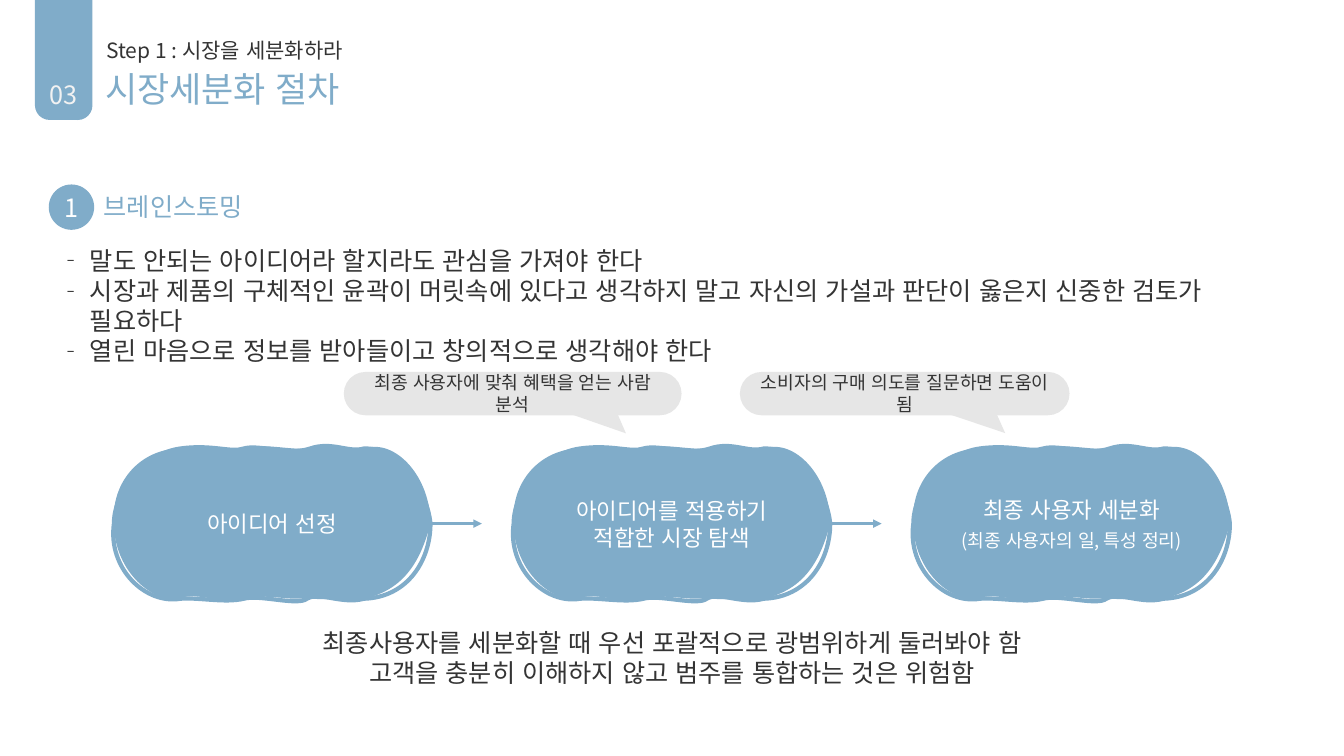
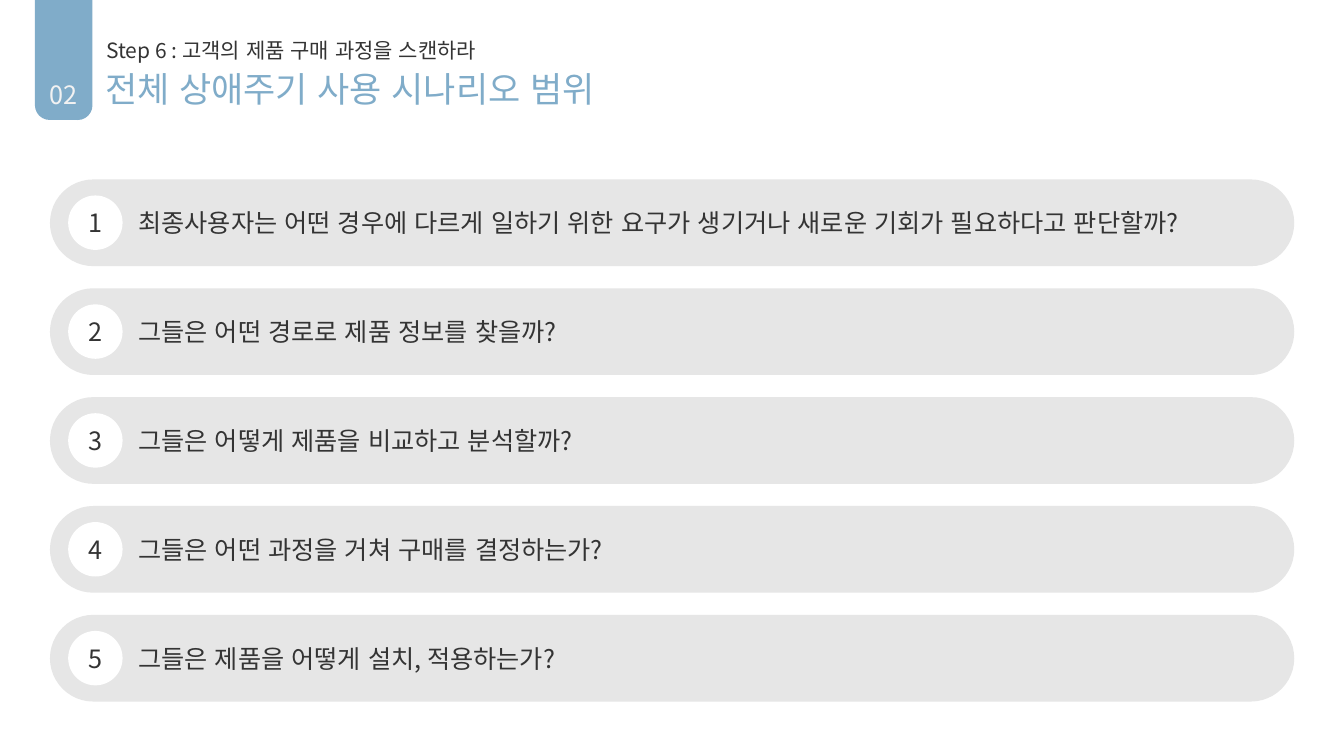
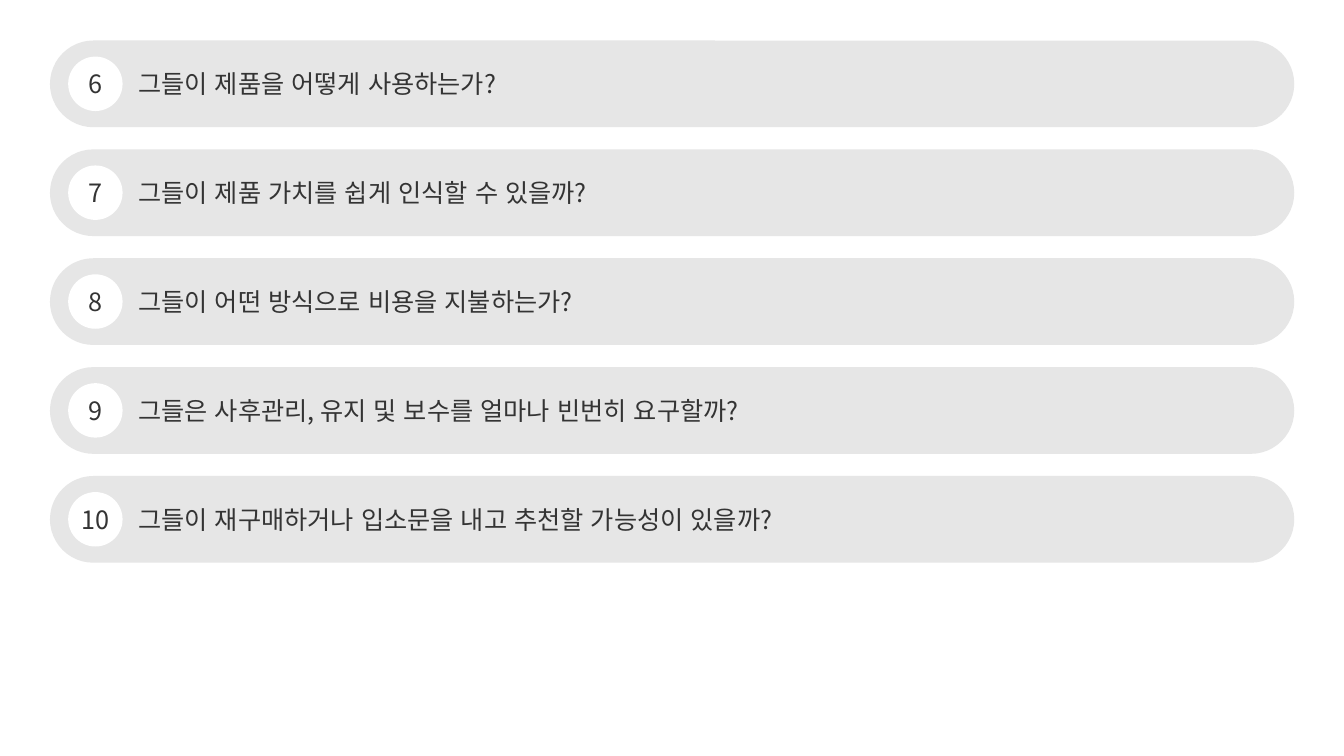
from lxml import etree
from pptx import Presentation
from pptx.dml.color import RGBColor
from pptx.enum.lang import MSO_LANGUAGE_ID as Lang
from pptx.enum.shapes import MSO_CONNECTOR, MSO_SHAPE as Shape
from pptx.enum.text import MSO_ANCHOR as Anchor, PP_ALIGN as Align
from pptx.oxml.ns import qn
from pptx.util import Inches, Pt

# Shared style
BLUE = RGBColor(0x80, 0xAC, 0xC9)
GRAY = RGBColor(0xE6, 0xE6, 0xE6)
DARK = RGBColor(0x34, 0x34, 0x34)
PALE = RGBColor(0xF2, 0xF2, 0xF2)
WHITE = RGBColor(0xFF, 0xFF, 0xFF)
FONT = "Noto Sans CJK KR"
SLIDE_W, SLIDE_H = Inches(13.33), Inches(7.5)

# Question rows, in percent of the slide
ROW_X, ROW_W, ROW_H, ROW_PITCH = 3.72, 92.58, 11.47, 14.4

# Flow steps, in percent of the slide
STEP_X, STEP_Y, STEP_W, STEP_H, STEP_PITCH = 8.48, 59.33, 23.55, 19.87, 29.74
ARROW_W = 3.83

# Hand-drawn blob in thousandths of its box: each row is two handles and an end point
BLOB_UNITS = 1000
BLOB_START = (0, 500)
BLOB_OUTLINE = [
    ((0, 280), (100, 30), (210, 0)),
    ((310, -30), (370, 30), (410, 0)),
    ((460, -30), (550, 50), (620, 0)),
    ((690, -50), (740, 30), (790, 0)),
    ((900, -10), (990, 280), (1000, 500)),
    ((1000, 740), (930, 990), (790, 1000)),
    ((720, 1040), (650, 950), (610, 1000)),
    ((580, 1050), (460, 970), (410, 1000)),
    ((350, 1030), (270, 990), (210, 1000)),
    ((100, 1040), (-20, 800), BLOB_START),
]
BLOB_BODY = [
    ((-10, 210), (90, 0), (210, 0)),
    ((260, -50), (370, 40), (410, 0)),
    ((460, -40), (560, 10), (600, 0)),
    ((650, -10), (730, 0), (790, 0)),
    ((890, -70), (1000, 190), (1000, 500)),
    ((970, 740), (920, 940), (790, 1000)),
    ((720, 1010), (650, 1000), (580, 1000)),
    ((520, 1000), (490, 970), (400, 1000)),
    ((320, 1030), (250, 950), (210, 1000)),
    ((110, 1030), (0, 790), BLOB_START),
]


def px(share):
    return int(SLIDE_W * share / 100)


def py(share):
    return int(SLIDE_H * share / 100)


def box(x, y, w, h):
    return px(x), py(y), px(w), py(h)


def add_xml(parent, tag, **attributes):
    return etree.SubElement(parent, qn(tag), attributes)


def paint(sp, fill, line=None, width=0):
    sp.shadow.inherit = False
    sp.fill.solid()
    sp.fill.fore_color.rgb = fill
    if line is None:
        sp.line.fill.background()
    else:
        sp.line.color.rgb = line
        sp.line.width = Pt(width)
    return sp


def style_run(r, size, color):
    r.font.size = Pt(size)
    r.font.color.rgb = color
    r.font.name = FONT
    r.font.language_id = Lang.KOREAN
    rPr = r.font._element
    rPr.set("kern", "0")
    add_xml(rPr, "a:ea", typeface=FONT)


def add_dash(p):
    pPr = p._p.get_or_add_pPr()
    pPr.set("marL", str(Inches(0.31)))
    pPr.set("indent", str(-Inches(0.31)))
    add_xml(pPr, "a:buFont", typeface=FONT)
    add_xml(pPr, "a:buChar", char="‐")


def write(sp, text, size, color, align=Align.LEFT, anchor=Anchor.MIDDLE,
          left=0.1, right=0.1, dashes=False):
    """Fill a shape with text, one paragraph a line."""
    tf = sp.text_frame
    tf.text = text
    tf.word_wrap = True
    tf.vertical_anchor = anchor
    tf.margin_left, tf.margin_right = Inches(left), Inches(right)
    for p in tf.paragraphs:
        p.alignment = align
        if dashes:
            add_dash(p)
        for r in p.runs:
            style_run(r, size, color)
    return tf


def add_text(s, place, text, size, color, anchor=Anchor.TOP, **options):
    sp = s.shapes.add_textbox(*box(*place))
    write(sp, text, size, color, anchor=anchor, **options)


def add_block(s, kind, place, fill, *adjustments):
    sp = paint(s.shapes.add_shape(kind, *box(*place)), fill)
    for i, value in enumerate(adjustments):
        sp.adjustments[i] = value
    return sp


def add_disc(s, place, text, fill, color):
    sp = add_block(s, Shape.OVAL, place, fill)
    write(sp, text, 18, color, Align.CENTER, left=0, right=0)


def add_header(s, number, step, title):
    tab = add_block(s, Shape.ROUND_2_SAME_RECTANGLE, (2.6, 0, 4.28, 15.87),
                    BLUE, 0.256, 0)
    tab.rotation = 180
    add_text(s, (2.4, 9.87, 4.58, 5.33), number, 18, PALE, align=Align.CENTER)
    add_text(s, (7.84, 8.27, 73.88, 6.93), title, 25, BLUE,
             anchor=Anchor.MIDDLE, left=0, right=0)
    add_text(s, (7.92, 4.27, 58.5, 4.67), step, 15, DARK, left=0, right=0)


def add_questions(s, top, first, questions):
    for i, question in enumerate(questions):
        y = top + i * ROW_PITCH
        bar = add_block(s, Shape.ROUNDED_RECTANGLE, (ROW_X, y, ROW_W, ROW_H),
                        GRAY, 0.5)
        write(bar, question, 18, DARK, left=0.75)
        add_disc(s, (5.07, y + 2.13, 4.05, 7.2), str(first + i), WHITE, DARK)


def add_callout(s, x, width, tip_x, angle, text):
    tip = add_block(s, Shape.ISOSCELES_TRIANGLE, (tip_x, 50.93, 3.75, 7.6), GRAY)
    tip.rotation = angle
    bubble = add_block(s, Shape.ROUNDED_RECTANGLE, (x, 49.2, width, 5.73),
                       GRAY, 0.5)
    write(bubble, text, 13, DARK, Align.CENTER)


def add_curves(path_list, curves, **options):
    """Append one closed path of cubic curves."""
    def add_points(parent, points):
        for x, y in points:
            add_xml(parent, "a:pt", x=str(x), y=str(y))

    size = str(BLOB_UNITS)
    outline = add_xml(path_list, "a:path", w=size, h=size, **options)
    add_points(add_xml(outline, "a:moveTo"), [BLOB_START])
    for curve in curves:
        add_points(add_xml(outline, "a:cubicBezTo"), curve)
    add_xml(outline, "a:close")


def add_step(s, x, text):
    left, top, width, height = box(x, STEP_Y, STEP_W, STEP_H)
    builder = s.shapes.build_freeform(left, top)
    builder.add_line_segments([(left + width, top), (left + width, top + height),
                               (left, top + height)])
    blob = paint(builder.convert_to_shape(), BLUE, BLUE, 3)
    path_list = blob._element.spPr.find(qn("a:custGeom")).find(qn("a:pathLst"))
    path_list.clear()
    add_curves(path_list, BLOB_OUTLINE, fill="none")
    add_curves(path_list, BLOB_BODY, stroke="0")
    return write(blob, text, 16, WHITE, Align.CENTER)


def add_arrow(s, x):
    y = py(STEP_Y + STEP_H / 2)
    arrow = s.shapes.add_connector(MSO_CONNECTOR.STRAIGHT, px(x), y, px(x + ARROW_W), y)
    arrow.line.color.rgb = BLUE
    arrow.line.width = Pt(2)
    add_xml(arrow.line._get_or_add_ln(), "a:tailEnd", type="triangle")
    add_xml(arrow._element.spPr, "a:effectLst")


def build_procedure(s):
    add_header(s, "03", "Step 1 : 시장을 세분화하라", "시장세분화 절차")

    # Brainstorming
    add_disc(s, (3.63, 24.4, 3.38, 6), "1", BLUE, WHITE)
    add_text(s, (6.98, 24.67, 53.25, 5.33), "브레인스토밍", 18, BLUE)
    add_text(s, (3.63, 31.73, 93.3, 13.47),
             "말도 안되는 아이디어라 할지라도 관심을 가져야 한다\n"
             "시장과 제품의 구체적인 윤곽이 머릿속에 있다고 생각하지 말고 "
             "자신의 가설과 판단이 옳은지 신중한 검토가 필요하다\n"
             "열린 마음으로 정보를 받아들이고 창의적으로 생각해야 한다",
             18, DARK, right=0.3, dashes=True)

    # Flow with callouts
    add_callout(s, 25.58, 25.13, 43.13, 132.9,
                "최종 사용자에 맞춰 혜택을 얻는 사람 분석")
    add_callout(s, 55.05, 24.53, 71.33, 132.3,
                "소비자의 구매 의도를 질문하면 도움이 됨")
    steps = ["아이디어 선정",
             "아이디어를 적용하기\n적합한 시장 탐색",
             "최종 사용자 세분화\n(최종 사용자의 일, 특성 정리)"]
    for i, text in enumerate(steps):
        x = STEP_X + i * STEP_PITCH
        tf = add_step(s, x, text)
        if i < len(steps) - 1:
            add_arrow(s, x + STEP_W)
    detail = tf.paragraphs[-1]
    detail.space_before = Pt(4)
    detail.runs[0].font.size = Pt(13)

    # Conclusion
    add_text(s, (15, 82.27, 70, 9.47),
             "최종사용자를 세분화할 때 우선 포괄적으로 광범위하게 둘러봐야 함\n"
             "고객을 충분히 이해하지 않고 범주를 통합하는 것은 위험함",
             18, DARK, align=Align.CENTER)


def build_scenario(s):
    add_header(s, "02", "Step 6 : 고객의 제품 구매 과정을 스캔하라",
               "전체 상애주기 사용 시나리오 범위")
    add_questions(s, 23.73, 1, [
        "최종사용자는 어떤 경우에 다르게 일하기 위한 요구가 생기거나 "
        "새로운 기회가 필요하다고 판단할까?",
        "그들은 어떤 경로로 제품 정보를 찾을까?",
        "그들은 어떻게 제품을 비교하고 분석할까?",
        "그들은 어떤 과정을 거쳐 구매를 결정하는가?",
        "그들은 제품을 어떻게 설치, 적용하는가?",
    ])


def build_scenario_rest(s):
    add_questions(s, 5.36, 6, [
        "그들이 제품을 어떻게 사용하는가?",
        "그들이 제품 가치를 쉽게 인식할 수 있을까?",
        "그들이 어떤 방식으로 비용을 지불하는가?",
        "그들은 사후관리, 유지 및 보수를 얼마나 빈번히 요구할까?",
        "그들이 재구매하거나 입소문을 내고 추천할 가능성이 있을까?",
    ])


def main():
    prs = Presentation()
    prs.slide_width, prs.slide_height = SLIDE_W, SLIDE_H
    for build in (build_procedure, build_scenario, build_scenario_rest):
        build(prs.slides.add_slide(prs.slide_layouts[6]))
    prs.save("out.pptx")


if __name__ == "__main__":
    main()
